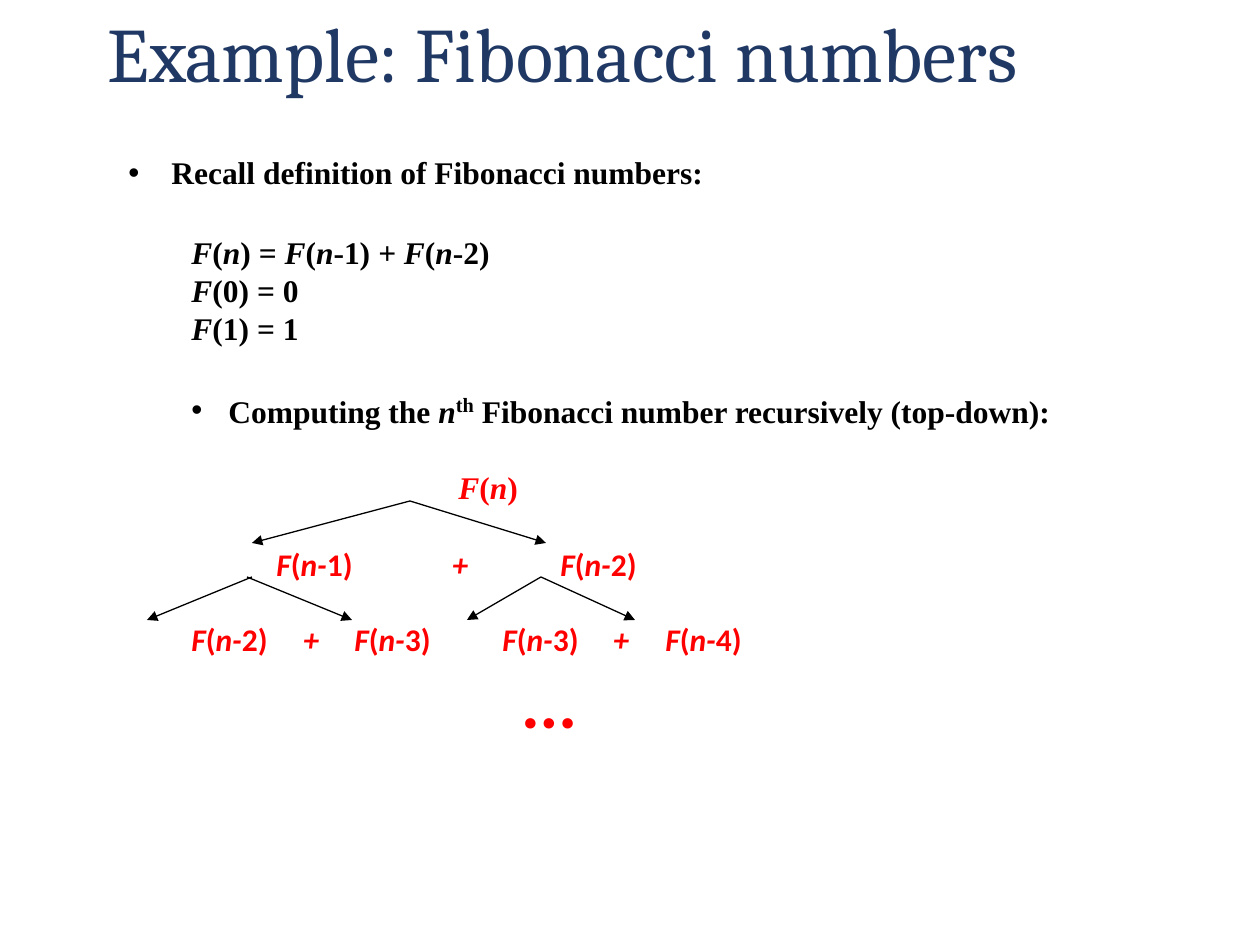
from lxml import etree
from pptx import Presentation
from pptx.dml.color import RGBColor
from pptx.enum.shapes import MSO_CONNECTOR
from pptx.enum.text import MSO_ANCHOR, MSO_AUTO_SIZE, PP_ALIGN
from pptx.oxml.ns import qn
from pptx.util import Emu, Pt

STRAIGHT = MSO_CONNECTOR.STRAIGHT
MIDDLE = MSO_ANCHOR.MIDDLE
FIT_SHAPE = MSO_AUTO_SIZE.SHAPE_TO_FIT_TEXT
LEFT = PP_ALIGN.LEFT

PX = 914400 // 126
NAVY = RGBColor(0x20, 0x38, 0x64)
BLACK = RGBColor(0, 0, 0)
RED = RGBColor(0xFF, 0, 0)
SERIF = "Times New Roman"
SANS = "Calibri"
LINE_HEIGHT = 38
ITALIC_MARK = "*"
SUPERSCRIPT_MARK = "^"

TITLE = "Example: Fibonacci numbers"
DEFINITION = [
    {"text": "Recall definition of Fibonacci numbers:", "margin": 43, "hang": 43},
    {"text": "*F*(*n*)* = F*(*n*-1)* + F*(*n*-2)", "margin": 63, "before": 42},
    {"text": "*F*(0)* = *0", "margin": 63},
    {"text": "*F*(1)* = *1", "margin": 63},
    {"text": "Computing the *n*^th^ Fibonacci number recursively (top-down):",
     "margin": 100, "hang": 37, "before": 45},
]
TREE = [
    {"cells": [(330, "*F*(*n*)")], "font": SERIF, "before": 38},
    {"cells": [(148, "*F*(*n-*1)"), (324, "*+*"), (432, "*F*(*n-*2)")], "before": 39},
    {"cells": [(63, "*F*(*n-*2)"), (175, "*+*"), (226, "*F*(*n-*3)"),
               (374, "*F*(*n-*3)"), (485, "*+*"), (537, "*F*(*n-*4)")], "before": 37},
    {"cells": [(394, "*...*")], "size": 40},
]
ARROWS = [
    ((410, 501), (252, 543)), ((410, 501), (546, 543)),
    ((252, 577), (147, 620)), ((247, 577), (352, 620)),
    ((541, 577), (467, 620)), ((541, 577), (635, 620)),
]


def add_spans(para, markup, font, size, color):
    for part, chunk in enumerate(markup.split(SUPERSCRIPT_MARK)):
        for piece, text in enumerate(chunk.split(ITALIC_MARK)):
            if not text:
                continue
            span = para.add_run()
            span.text = text
            span.font.name = font
            span.font.size = Pt(size)
            span.font.bold = True
            span.font.italic = piece % 2 == 1
            span.font.color.rgb = color
            if part % 2:
                span.font.size = Pt(20)
                span.font._element.set("baseline", "30000")


def set_spacing(para, before, fixed=True):
    para.alignment = LEFT
    para.space_before = Emu(before * PX)
    para.line_spacing = Emu(LINE_HEIGHT * PX) if fixed else 1.0


def add_definition(para, row):
    set_spacing(para, row.get("before", 0))
    hang = row.get("hang", 0)
    properties = para._p.get_or_add_pPr()
    properties.set("marL", str(row["margin"] * PX))
    properties.set("indent", str(-hang * PX))
    if hang:
        etree.SubElement(properties, qn("a:buFont"), typeface="Arial")
        etree.SubElement(properties, qn("a:buChar"), char="•")
    add_spans(para, row["text"], SERIF, 18, BLACK)


def add_tree_row(para, row):
    size = row.get("size", 18)
    set_spacing(para, row.get("before", 0), fixed=size == 18)
    stops = etree.SubElement(para._p.get_or_add_pPr(), qn("a:tabLst"))
    for position, markup in row["cells"]:
        etree.SubElement(stops, qn("a:tab"), pos=str(position * PX), algn="l")
        add_spans(para, "\t" + markup, row.get("font", SANS), size, RED)


def add_arrow(page, start, end):
    ends = [Emu(value * PX) for value in start + end]
    arrow = page.shapes.add_connector(STRAIGHT, *ends)
    arrow.line.color.rgb = BLACK
    arrow.line.width = Pt(0.75)
    etree.SubElement(arrow.line._get_or_add_ln(), qn("a:tailEnd"), type="triangle")
    etree.SubElement(arrow._element.spPr, qn("a:effectLst"))


def main():
    deck = Presentation()
    deck.slide_width, deck.slide_height = 1260 * PX, 945 * PX
    page = deck.slides.add_slide(deck.slide_layouts[5])

    title = page.shapes.title
    title.left, title.top, title.width, title.height = (
        95 * PX, 0, 1071 * PX, 116 * PX)
    title.text_frame.text = TITLE
    title.text_frame.vertical_anchor = MIDDLE
    heading = title.text_frame.paragraphs[0]
    heading.alignment = LEFT
    heading.line_spacing = 0.9
    font = heading.runs[0].font
    font.name, font.size, font.color.rgb = "Cambria", Pt(44), NAVY

    box = page.shapes.add_textbox(116 * PX, 147 * PX, 1144 * PX, 602 * PX)
    frame = box.text_frame
    frame.word_wrap = True
    frame.auto_size = FIT_SHAPE
    for index, row in enumerate(DEFINITION):
        add_definition(frame.add_paragraph() if index else frame.paragraphs[0], row)
    for row in TREE:
        add_tree_row(frame.add_paragraph(), row)

    for start, end in ARROWS:
        add_arrow(page, start, end)

    deck.save("out.pptx")


if __name__ == "__main__":
    main()
